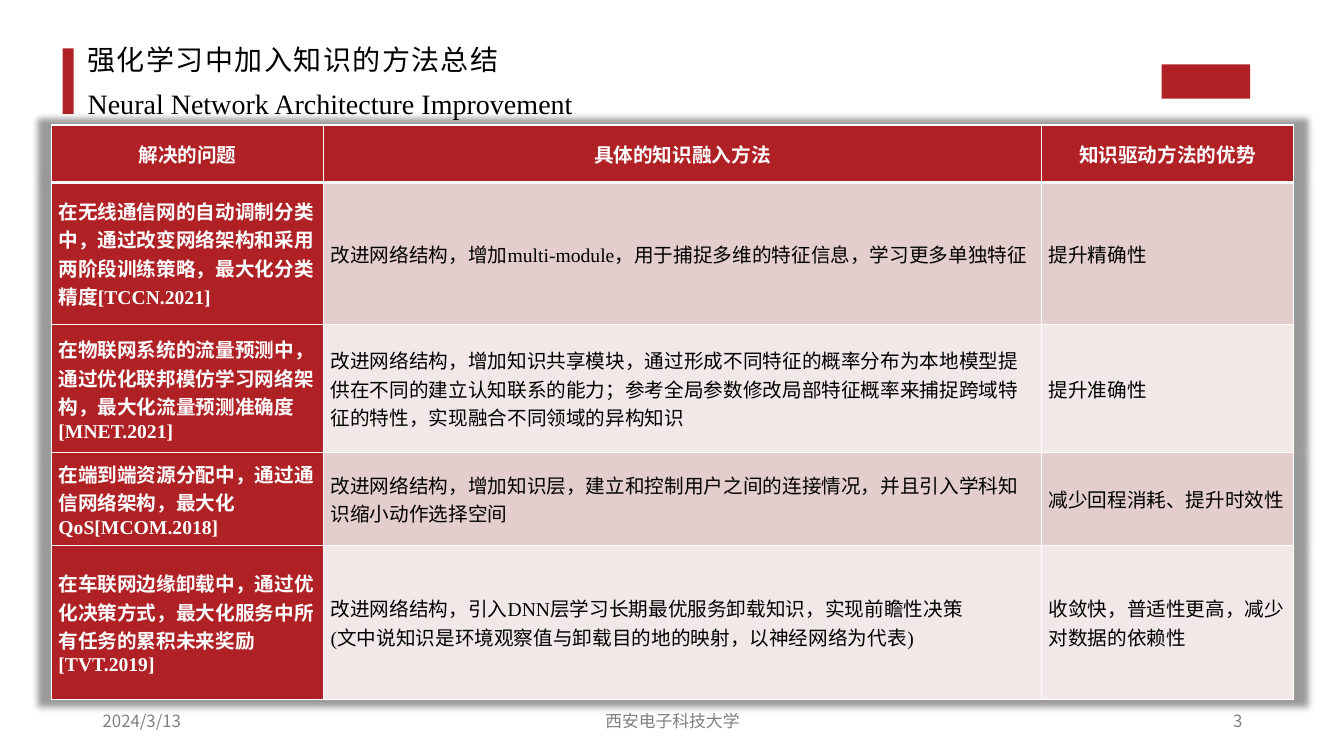
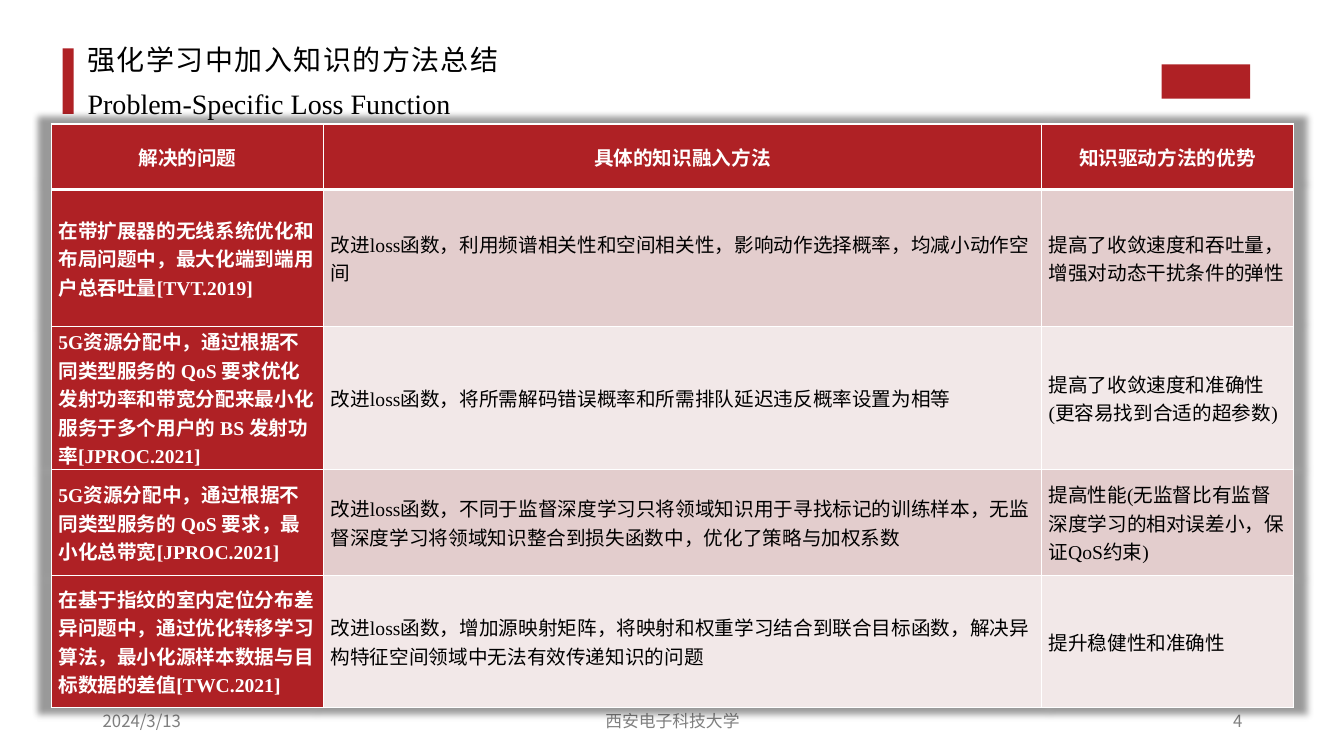
from lxml.etree import SubElement
from pptx import Presentation
from pptx.dml.color import RGBColor
from pptx.enum.shapes import MSO_SHAPE
from pptx.enum.text import MSO_ANCHOR, PP_ALIGN as Align
from pptx.oxml import parse_xml
from pptx.oxml.ns import nsdecls, qn
from pptx.util import Inches, Pt

RED, WHITE, BLACK, GREY = "AF2125", "FFFFFF", "000000", "808080"
BANDS = ("E3CDCD", "F2E8E8")
SERIF, SANS = "Times New Roman", "Noto Sans CJK SC"

TITLE = "强化学习中加入知识的方法总结"
FOOTER_DATE, FOOTER_SCHOOL = "2024/3/13", "西安电子科技大学"
FIRST_PAGE = 3

TITLE_BAR = (0.62, 0.48, 0.11, 0.65)
CORNER_BLOCK = (11.52, 0.64, 0.88, 0.34)

COLUMN_WIDTHS = (2.7, 7.12, 2.5)
HEADINGS = ("解决的问题", "具体的知识融入方法", "知识驱动方法的优势")
TABLE_LEFT = 0.51

PAGES = [
    {
        "subtitle": "Neural Network Architecture Improvement",
        "top": 1.24,
        "row_heights": (0.57, 1.41, 1.27, 0.92, 1.53),
        "methods": [
            ("在无线通信网的自动调制分类中，通过改变网络架构和采用两阶段训练策略，最大化分类精度[TCCN.2021]",
             "改进网络结构，增加multi-module，用于捕捉多维的特征信息，学习更多单独特征",
             "提升精确性"),
            ("在物联网系统的流量预测中，通过优化联邦模仿学习网络架构，最大化流量预测准确度[MNET.2021]",
             "改进网络结构，增加知识共享模块，通过形成不同特征的概率分布为本地模型提供在不同的建立认知联系的能力；"
             "参考全局参数修改局部特征概率来捕捉跨域特征的特性，实现融合不同领域的异构知识",
             "提升准确性"),
            ("在端到端资源分配中，通过通信网络架构，最大化QoS[MCOM.2018]",
             "改进网络结构，增加知识层，建立和控制用户之间的连接情况，并且引入学科知识缩小动作选择空间",
             "减少回程消耗、提升时效性"),
            ("在车联网边缘卸载中，通过优化决策方式，最大化服务中所有任务的累积未来奖励[TVT.2019]",
             "改进网络结构，引入DNN层学习长期最优服务卸载知识，实现前瞻性决策\n"
             "(文中说知识是环境观察值与卸载目的地的映射，以神经网络为代表)",
             "收敛快，普适性更高，减少对数据的依赖性"),
        ],
    },
    {
        "subtitle": "Problem-Specific Loss Function",
        "top": 1.23,
        "row_heights": (0.65, 1.36, 1.42, 1.05, 1.31),
        "methods": [
            ("在带扩展器的无线系统优化和布局问题中，最大化端到端用户总吞吐量[TVT.2019]",
             "改进loss函数，利用频谱相关性和空间相关性，影响动作选择概率，均减小动作空间",
             "提高了收敛速度和吞吐量，增强对动态干扰条件的弹性"),
            ("5G资源分配中，通过根据不同类型服务的 QoS 要求优化发射功率和带宽分配来最小化服务于多个用户的 BS 发射功率[JPROC.2021]",
             "改进loss函数，将所需解码错误概率和所需排队延迟违反概率设置为相等",
             "提高了收敛速度和准确性(更容易找到合适的超参数)"),
            ("5G资源分配中，通过根据不同类型服务的 QoS 要求，最小化总带宽[JPROC.2021]",
             "改进loss函数，不同于监督深度学习只将领域知识用于寻找标记的训练样本，"
             "无监督深度学习将领域知识整合到损失函数中，优化了策略与加权系数",
             "提高性能(无监督比有监督深度学习的相对误差小，保证QoS约束)"),
            ("在基于指纹的室内定位分布差异问题中，通过优化转移学习算法，最小化源样本数据与目标数据的差值[TWC.2021]",
             "改进loss函数，增加源映射矩阵，将映射和权重学习结合到联合目标函数，解决异构特征空间领域中无法有效传递知识的问题",
             "提升稳健性和准确性"),
        ],
    },
]

TABLE_SHADOW = (
    f'<a:effectLst {nsdecls("a")}><a:outerShdw blurRad="63500" sx="102000" sy="102000" '
    'algn="ctr" rotWithShape="0"><a:srgbClr val="000000"><a:alpha val="40000"/>'
    '</a:srgbClr></a:outerShdw></a:effectLst>'
)


def rgb(value):
    return RGBColor.from_string(value)


def style_run(run, size, color, face=SERIF, bold=False, spacing=0):
    """Format a run; spacing is the extra gap between letters in points."""
    for name, value in {"size": Pt(size), "bold": bold, "name": face}.items():
        setattr(run.font, name, value)
    run.font.color.rgb = rgb(color)
    properties = run.font._element
    SubElement(properties, qn("a:ea")).set("typeface", SANS)
    if spacing:
        properties.set("spc", str(spacing * 100))


def add_paragraph_box(slide, place, align=Align.LEFT):
    """Add an empty, vertically centred text box and return its paragraph."""
    frame = slide.shapes.add_textbox(*map(Inches, place)).text_frame
    frame.word_wrap = True
    frame.vertical_anchor = MSO_ANCHOR.MIDDLE
    frame.paragraphs[0].alignment = align
    return frame.paragraphs[0]


def add_text(paragraph, text, **style):
    run = paragraph.add_run()
    run.text = text
    style_run(run, **style)


def add_frame(slide, subtitle, page_number):
    """Draw the red blocks, footer and two-line title."""
    for place in (TITLE_BAR, CORNER_BLOCK):
        block = slide.shapes.add_shape(MSO_SHAPE.RECTANGLE, *map(Inches, place))
        block.shadow.inherit = False
        block.fill.solid()
        block.fill.fore_color.rgb = rgb(RED)
        block.line.fill.background()

    for text, left, width, align in (
        (FOOTER_DATE, 0.92, 3, Align.LEFT),
        (FOOTER_SCHOOL, 4.42, 4.5, Align.CENTER),
        (str(page_number), 9.42, 3, Align.RIGHT),
    ):
        footer = add_paragraph_box(slide, (left, 6.95, width, 0.4), align)
        add_text(footer, text, size=12, color=GREY, face=SANS)

    title = add_paragraph_box(slide, (0.77, 0.13, 10.55, 1.25))
    title.line_spacing = 1.3
    add_text(title, TITLE, size=20, color=BLACK, spacing=1)
    title.add_line_break()
    add_text(title, subtitle, size=20, color=BLACK)


def set_borders(cell, row):
    """White rules of 1 pt, with 3 pt between the heading row and the body."""
    properties = cell._tc.get_or_add_tcPr()
    widths = {"lnL": 1, "lnR": 1, "lnT": 3 if row == 1 else 1, "lnB": 3 if row == 0 else 1}
    for side, width in widths.items():
        line = SubElement(properties, qn(f"a:{side}"), w=str(Pt(width)))
        SubElement(SubElement(line, qn("a:solidFill")), qn("a:srgbClr"), val=WHITE)


def fill_cell(cell, text, row, column):
    heading = row == 0
    strong = heading or column == 0
    inset = Inches(0.06 if heading else 0.07)
    layout = {"margin_left": inset, "margin_right": inset, "margin_top": 0,
              "margin_bottom": 0, "vertical_anchor": MSO_ANCHOR.MIDDLE}
    for name, value in layout.items():
        setattr(cell, name, value)
    set_borders(cell, row)
    cell.fill.solid()
    cell.fill.fore_color.rgb = rgb(RED if strong else BANDS[(row - 1) % 2])
    cell.text_frame.text = text
    for paragraph in cell.text_frame.paragraphs:
        paragraph.alignment = Align.CENTER if heading else Align.LEFT
        for run in paragraph.runs:
            style_run(run, 14, WHITE if strong else BLACK, bold=strong)


def add_methods_table(slide, top, row_heights, methods):
    rows = [HEADINGS, *methods]
    size = (TABLE_LEFT, top, sum(COLUMN_WIDTHS), sum(row_heights))
    table = slide.shapes.add_table(len(rows), len(HEADINGS), *map(Inches, size)).table
    table.horz_banding = False
    table._tbl.tblPr.insert(0, parse_xml(TABLE_SHADOW))
    for column, width in zip(table.columns, COLUMN_WIDTHS):
        column.width = Inches(width)
    for r, (height, texts) in enumerate(zip(row_heights, rows)):
        table.rows[r].height = Inches(height)
        for c, text in enumerate(texts):
            fill_cell(table.cell(r, c), text, r, c)


def main():
    deck = Presentation()
    deck.slide_width, deck.slide_height = Inches(13.33), Inches(7.5)
    for page_number, page in enumerate(PAGES, FIRST_PAGE):
        slide = deck.slides.add_slide(deck.slide_layouts[6])
        add_frame(slide, page["subtitle"], page_number)
        add_methods_table(slide, page["top"], page["row_heights"], page["methods"])
    deck.save("out.pptx")


if __name__ == "__main__":
    main()
